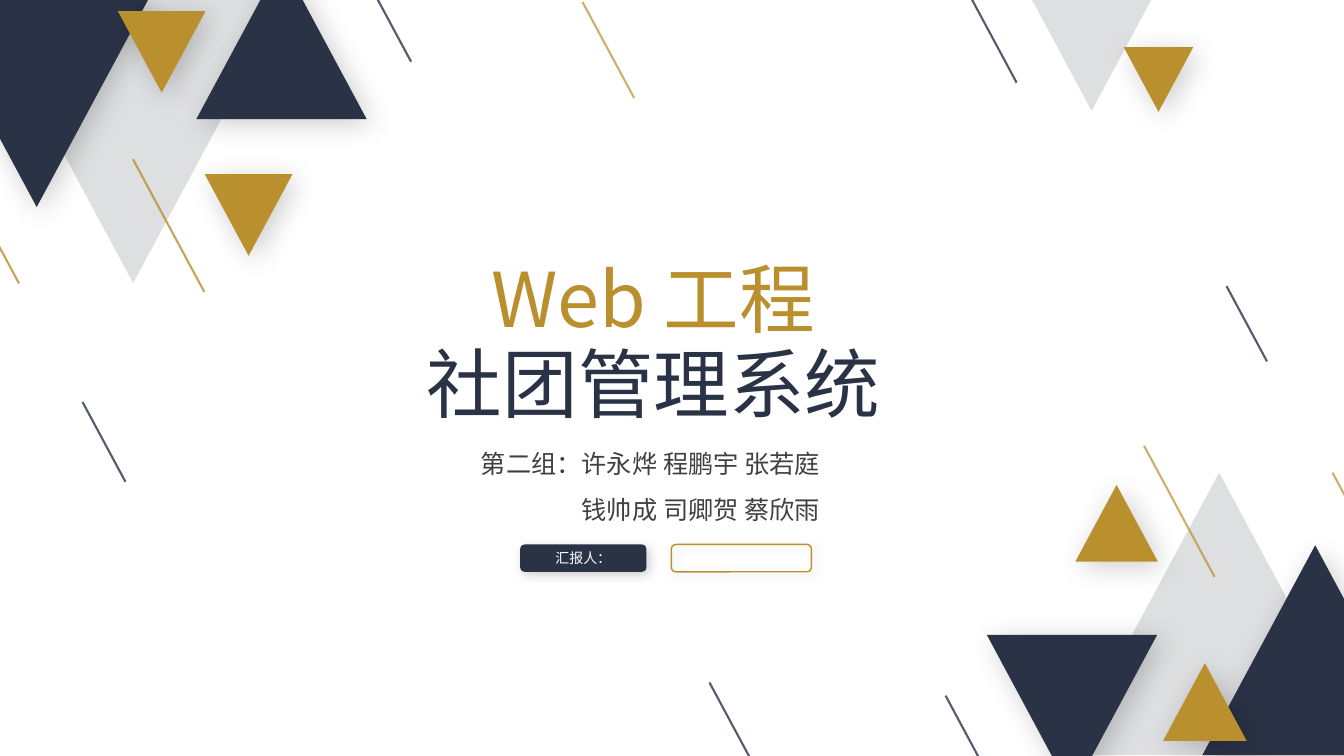
from dataclasses import dataclass
from typing import Any

from lxml import etree
from pptx import Presentation
from pptx.dml.color import RGBColor
from pptx.enum.shapes import MSO_CONNECTOR, MSO_SHAPE
from pptx.enum.text import MSO_ANCHOR, MSO_AUTO_SIZE, PP_ALIGN
from pptx.oxml.ns import qn
from pptx.util import Cm, Pt

TRIANGLE, ROUNDED = MSO_SHAPE.ISOSCELES_TRIANGLE, MSO_SHAPE.ROUNDED_RECTANGLE
STRAIGHT = MSO_CONNECTOR.STRAIGHT
CENTER, RIGHT = PP_ALIGN.CENTER, PP_ALIGN.RIGHT
TOP, MIDDLE = MSO_ANCHOR.TOP, MSO_ANCHOR.MIDDLE
GROW, FIXED = MSO_AUTO_SIZE.SHAPE_TO_FIT_TEXT, MSO_AUTO_SIZE.NONE

NAVY, GOLD, GRAY = "2A3246", "BA8F2D", "DDDFE0"
WHITE, DARK = "FFFFFF", "404040"
CJK_FONT, LATIN_FONT = "Noto Sans CJK SC", "Calibri"
TRIANGLE_RATIO = 0.93  # height over width
STROKE_SLOPE = 2 * TRIANGLE_RATIO  # strokes run parallel to the triangle sides


@dataclass
class Shadow:
    blur: float
    distance: float


@dataclass
class Triangle:
    left: float
    top: float
    width: float
    color: str
    down: bool = False


@dataclass
class Stroke:
    left: float
    top: float
    width: float
    color: str
    opacity: int = 80


@dataclass
class Caption:
    left: float
    top: float
    width: float
    height: float
    lines: list[str]
    size: int
    color: str
    font: str = CJK_FONT
    align: Any = CENTER
    spacing: float = 1.0
    margin_right: float = 0.25


@dataclass
class Tag:
    left: float
    width: float
    fill: str = ""
    line: str = ""
    text: str = ""


TRIANGLE_SHADOW, TAG_SHADOW = Shadow(20, 5), Shadow(8, 3)
TAG_TOP, TAG_HEIGHT = 13.72, 0.69

TRIANGLES = [
    Triangle(26.01, 0, 3, GRAY, down=True),
    Triangle(26.9, 11.91, 7.65, GRAY),
    Triangle(-0.48, 0, 7.67, GRAY, down=True),
    Triangle(-1.88, 0, 5.61, NAVY, down=True),
    Triangle(30.3, 13.74, 5.69, NAVY),
    Triangle(4.95, -0.99, 4.29, NAVY),
    Triangle(27.1, 12.22, 2.08, GOLD),
    Triangle(29.31, 16.71, 2.11, GOLD),
    Triangle(2.97, 0.28, 2.21, GOLD, down=True),
    Triangle(5.16, 4.39, 2.21, GOLD, down=True),
    Triangle(28.32, 1.19, 1.75, GOLD, down=True),
    Triangle(24.87, 16, 4.29, NAVY, down=True),
]

STROKES = [
    Stroke(14.68, 0.05, 1.3, GOLD, 70),
    Stroke(24.43, -0.13, 1.19, NAVY),
    Stroke(8.61, -1.7, 1.75, NAVY),
    Stroke(3.35, 4.01, 1.8, GOLD),
    Stroke(28.83, 11.23, 1.78, GOLD, 70),
    Stroke(30.91, 7.21, 1.02, NAVY),
    Stroke(33.58, 11.91, 1.4, GOLD, 70),
    Stroke(23.83, 17.53, 1.4, NAVY),
    Stroke(17.88, 17.2, 1.39, NAVY),
    Stroke(2.08, 10.13, 1.08, NAVY),
    Stroke(-0.79, 4.78, 1.27, GOLD),
]

CAPTIONS = [
    Caption(6.15, 8.36, 20.65, 2.57, ["社团管理系统"], 54, NAVY),
    Caption(8.05, 10.8, 16.81, 3.48,
            ["第二组：许永烨 程鹏宇 张若庭", "钱帅成 司卿贺 蔡欣雨"],
            18, DARK, LATIN_FONT, RIGHT, 1.5, 4.2),
    Caption(8.28, 6.22, 16.36, 2.57, ["Web 工程"], 54, GOLD),
]

TAGS = [
    Tag(13.11, 3.18, fill=NAVY, text="汇报人："),
    Tag(16.92, 3.53, line=GOLD),
]


def rgb(color: str) -> RGBColor:
    return RGBColor.from_string(color)


def apply_format(target: Any, values: dict[str, Any]) -> None:
    for name, value in values.items():
        setattr(target, name, value)


def add_element(parent: Any, tag: str, **attributes: Any) -> Any:
    texts = {name: str(value) for name, value in attributes.items()}
    return etree.SubElement(parent, qn(tag), texts)


def add_shadow(shape: Any, shadow: Shadow) -> None:
    shape.shadow.inherit = False
    effects = shape._element.spPr.find(qn("a:effectLst"))
    outer = add_element(effects, "a:outerShdw", blurRad=Pt(shadow.blur),
                        dist=Pt(shadow.distance), dir=45 * 60000,
                        algn="tl", rotWithShape=0)
    color = add_element(outer, "a:srgbClr", val="000000")
    add_element(color, "a:alpha", val=20000)


def paint(shape: Any, fill: str, line: str = "") -> None:
    """Fill and outline the shape; an empty colour means none."""
    for part, color in ((shape.fill, fill), (shape.line.fill, line)):
        if color:
            part.solid()
            part.fore_color.rgb = rgb(color)
        else:
            part.background()


def write_lines(frame: Any, lines: list[str], size: int, color: str,
                font: str, align: Any, spacing: float = 1.0) -> None:
    for index, text in enumerate(lines):
        paragraph = frame.add_paragraph() if index else frame.paragraphs[0]
        apply_format(paragraph, {"alignment": align, "line_spacing": spacing})
        run = paragraph.add_run()
        run.text = text
        run.font.color.rgb = rgb(color)
        apply_format(run.font, {"size": Pt(size), "name": font})
        add_element(run.font._element, "a:ea", typeface=CJK_FONT)


def draw_triangle(slide: Any, triangle: Triangle) -> None:
    shape = slide.shapes.add_shape(
        TRIANGLE, Cm(triangle.left), Cm(triangle.top),
        Cm(triangle.width), Cm(triangle.width * TRIANGLE_RATIO))
    shape.rotation = 180 if triangle.down else 0
    paint(shape, triangle.color)
    if triangle.color == GRAY:
        shape.shadow.inherit = False
    else:
        add_shadow(shape, TRIANGLE_SHADOW)


def draw_stroke(slide: Any, stroke: Stroke) -> None:
    connector = slide.shapes.add_connector(
        STRAIGHT, Cm(stroke.left), Cm(stroke.top), Cm(stroke.left + stroke.width),
        Cm(stroke.top + stroke.width * STROKE_SLOPE))
    connector.line.width = Pt(1.5)
    connector.line.color.rgb = rgb(stroke.color)
    properties = connector._element.spPr
    color = properties.find(".//" + qn("a:srgbClr"))
    add_element(color, "a:alpha", val=stroke.opacity * 1000)
    add_element(properties, "a:effectLst")


def draw_caption(slide: Any, caption: Caption) -> None:
    box = slide.shapes.add_textbox(Cm(caption.left), Cm(caption.top),
                                   Cm(caption.width), Cm(caption.height))
    apply_format(box.text_frame, {
        "word_wrap": True, "auto_size": GROW, "vertical_anchor": TOP,
        "margin_right": Cm(caption.margin_right)})
    write_lines(box.text_frame, caption.lines, caption.size, caption.color,
                caption.font, caption.align, caption.spacing)


def draw_tag(slide: Any, tag: Tag) -> None:
    shape = slide.shapes.add_shape(ROUNDED, Cm(tag.left), Cm(TAG_TOP),
                                   Cm(tag.width), Cm(TAG_HEIGHT))
    paint(shape, tag.fill, tag.line)
    if tag.line:
        shape.line.width = Pt(1)
    add_shadow(shape, TAG_SHADOW)
    if tag.text:
        apply_format(shape.text_frame, {
            "word_wrap": True, "auto_size": FIXED, "vertical_anchor": MIDDLE})
        write_lines(shape.text_frame, [tag.text], 10, WHITE, CJK_FONT, CENTER)


def main() -> None:
    presentation = Presentation()
    apply_format(presentation, {"slide_width": Cm(33.87), "slide_height": Cm(19.05)})
    slide = presentation.slides.add_slide(presentation.slide_layouts[6])
    for draw, items in ((draw_triangle, TRIANGLES), (draw_stroke, STROKES),
                        (draw_caption, CAPTIONS), (draw_tag, TAGS)):
        for item in items:
            draw(slide, item)
    presentation.save("out.pptx")


if __name__ == "__main__":
    main()
